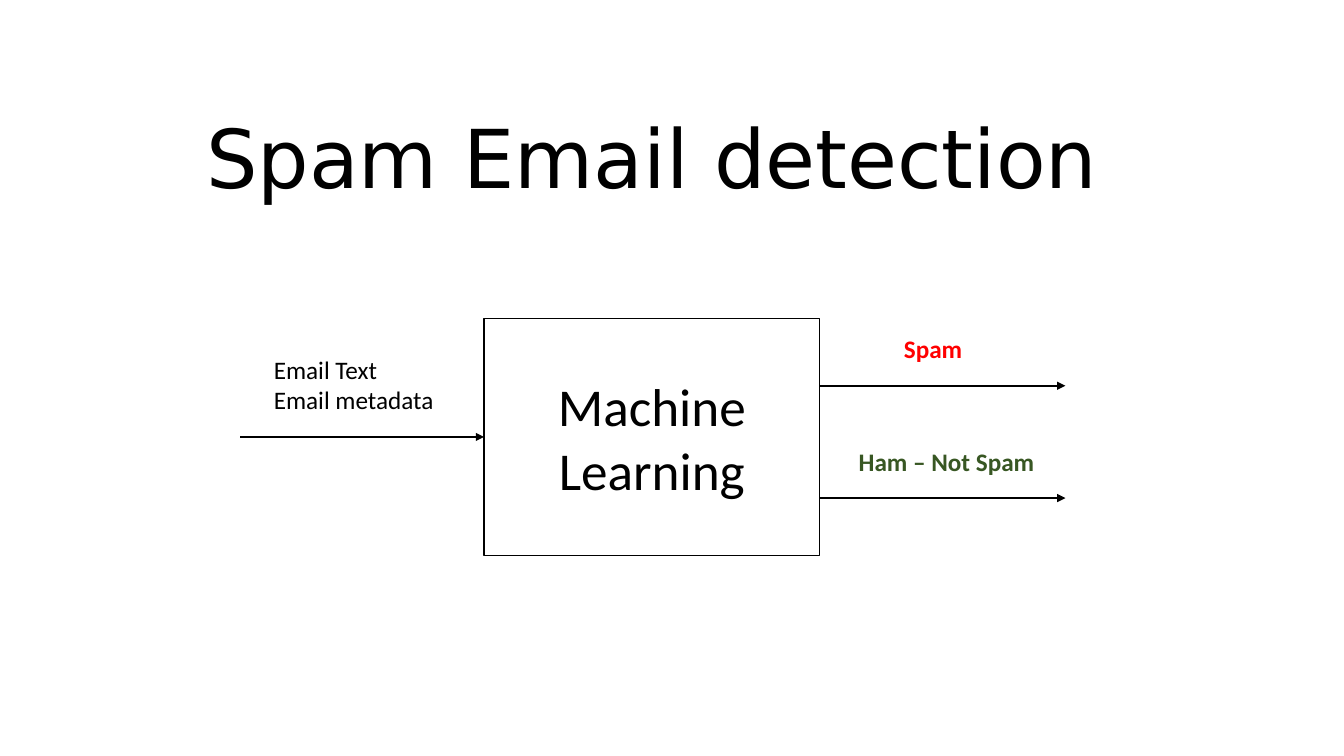
from lxml import etree
from pptx import Presentation
from pptx.dml.color import RGBColor
from pptx.enum.shapes import MSO_CONNECTOR, MSO_SHAPE
from pptx.enum.text import MSO_ANCHOR, MSO_AUTO_SIZE, PP_ALIGN
from pptx.oxml.ns import qn
from pptx.util import Cm, Pt

RECT = MSO_SHAPE.RECTANGLE
LINE = MSO_CONNECTOR.STRAIGHT
LEFT, MID = PP_ALIGN.LEFT, PP_ALIGN.CENTER
TOP, CENTER, LOW = MSO_ANCHOR.TOP, MSO_ANCHOR.MIDDLE, MSO_ANCHOR.BOTTOM
FIXED, GROW = MSO_AUTO_SIZE.NONE, MSO_AUTO_SIZE.SHAPE_TO_FIT_TEXT
BLACK, WHITE, RED, GREEN = "000000", "FFFFFF", "FF0000", "385723"


def color(code):
    return RGBColor.from_string(code)


def write(shape, lines, size, code=BLACK, font="Calibri", bold=False,
          align=LEFT, anchor=TOP, fit=FIXED):
    frame = shape.text_frame
    frame.word_wrap = True
    frame.auto_size = fit
    frame.vertical_anchor = anchor
    for i, line in enumerate(lines):
        para = frame.paragraphs[0] if i == 0 else frame.add_paragraph()
        para.alignment = align
        run = para.add_run()
        run.text = line
        run.font.name = font
        run.font.size = Pt(size)
        run.font.bold = bold
        run.font.color.rgb = color(code)


deck = Presentation()
deck.slide_width, deck.slide_height = Cm(33.87), Cm(19.05)
slide = deck.slides.add_slide(deck.slide_layouts[5])
shapes = slide.shapes

title = shapes.title
title.left, title.top = Cm(0.81), Cm(0.1)
title.width, title.height = Cm(31.24), Cm(5.21)
write(title, ["Spam Email detection"], 58, font="DejaVu Sans",
      align=MID, anchor=LOW)
title.text_frame.paragraphs[0].line_spacing = 0.9

model = shapes.add_shape(RECT, Cm(12.2), Cm(8.02), Cm(8.46), Cm(5.98))
model.shadow.inherit = False
model.fill.solid()
model.fill.fore_color.rgb = color(WHITE)
model.line.color.rgb = color(BLACK)
model.line.width = Pt(1)
write(model, ["Machine Learning"], 38, align=MID, anchor=CENTER)

arrows = [(6.05, 12.2, 11.01), (20.66, 26.85, 9.72), (20.66, 26.85, 12.55)]
for start, end, y in arrows:
    arrow = shapes.add_connector(LINE, Cm(start), Cm(y), Cm(end), Cm(y))
    arrow.line.color.rgb = color(BLACK)
    arrow.line.width = Pt(1.5)
    stroke = arrow.line._get_or_add_ln()
    etree.SubElement(stroke, qn("a:tailEnd"), type="triangle")
    etree.SubElement(arrow._element.spPr, qn("a:effectLst"))
    if end == 12.2:
        arrow.end_connect(model, 1)

labels = [
    (6.65, 8.81, 4.83, 1.8, ["Email Text", "Email metadata"], BLACK, False),
    (22.53, 8.28, 4.83, 1.02, ["Spam"], RED, True),
    (21.39, 11.13, 6.32, 1.02, ["Ham – Not Spam"], GREEN, True),
]
for x, y, wide, high, lines, code, bold in labels:
    label = shapes.add_textbox(Cm(x), Cm(y), Cm(wide), Cm(high))
    write(label, lines, 18, code, bold=bold, fit=GROW)

deck.save("out.pptx")
